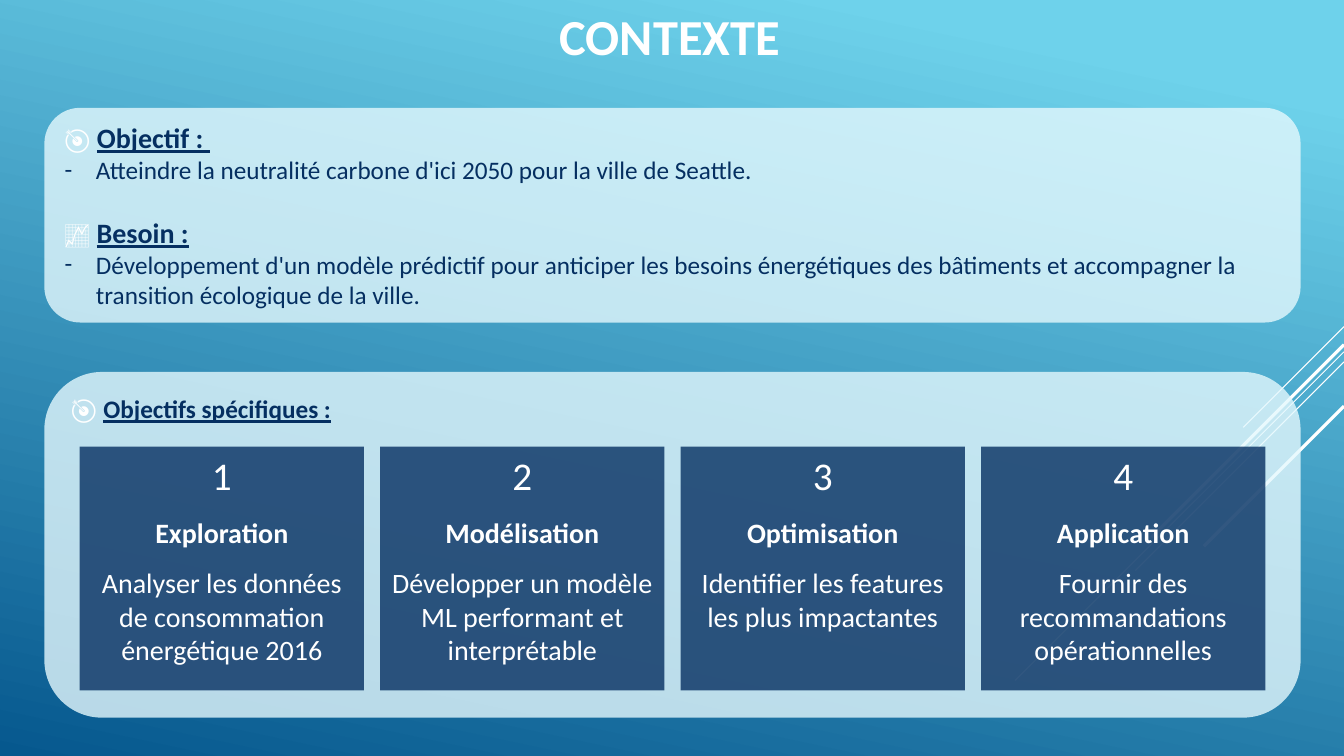
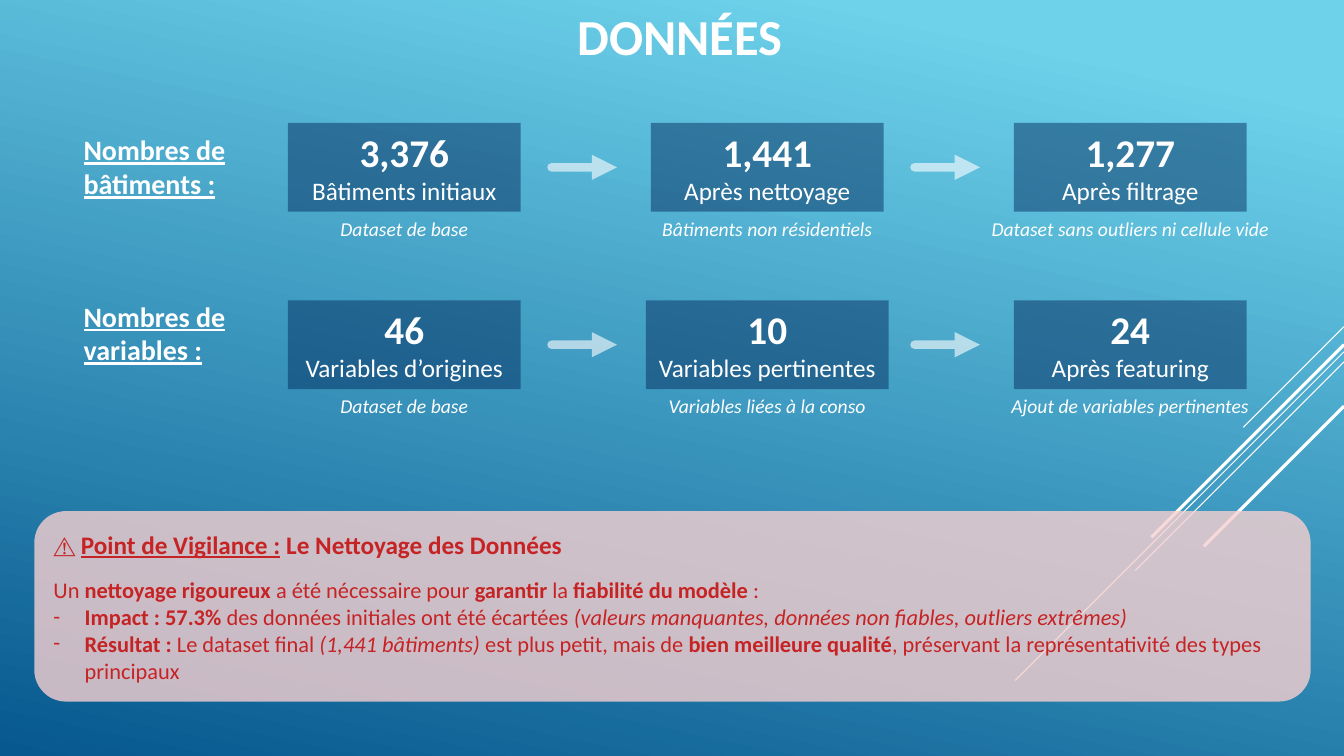
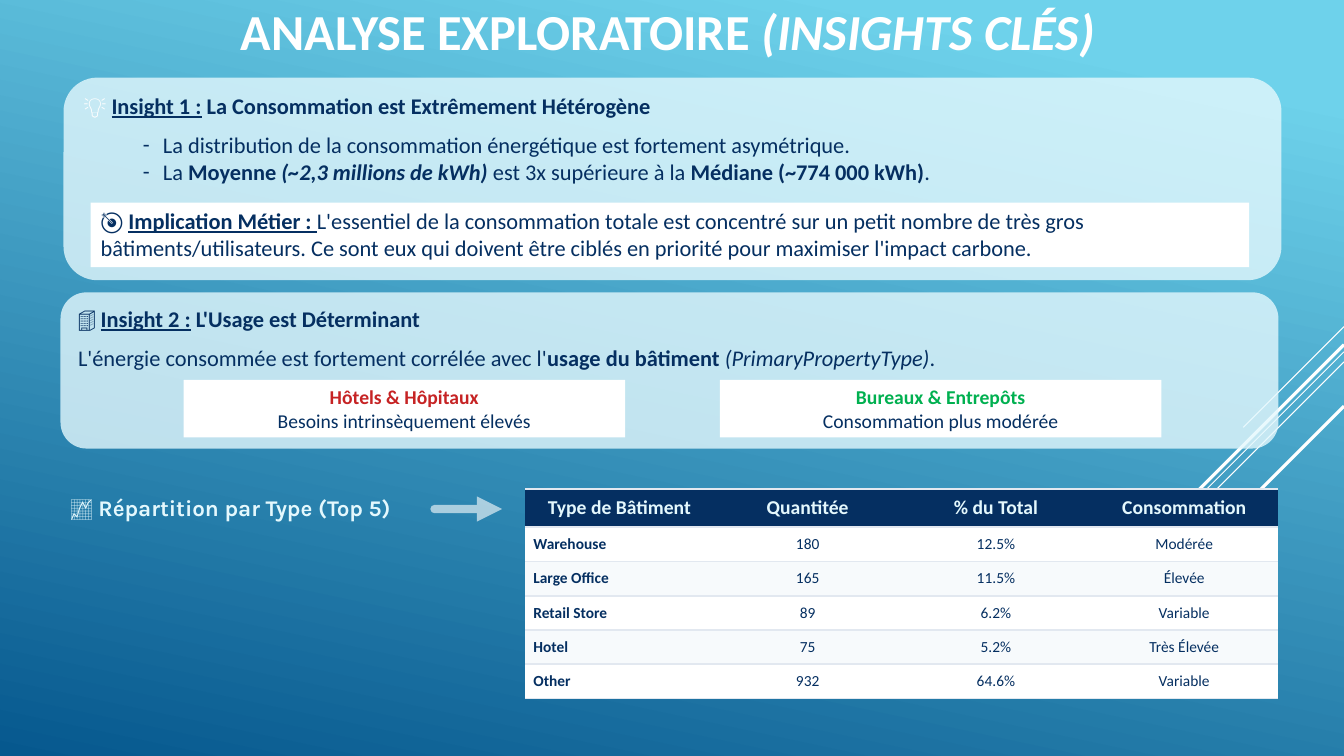
from dataclasses import dataclass

import lxml.etree
import pptx
import pptx.dml.color
import pptx.enum.dml
import pptx.enum.shapes
import pptx.enum.text
import pptx.oxml.ns
import pptx.util

Inches, Pt = pptx.util.Inches, pptx.util.Pt
qn = pptx.oxml.ns.qn
SHAPE = pptx.enum.shapes.MSO_SHAPE
ANCHOR = pptx.enum.text.MSO_ANCHOR
ALIGN = pptx.enum.text.PP_ALIGN

COLORS = {
    "sky": "6ED2EB", "deep": "06588E", "white": "FFFFFF", "navy": "052F61",
    "ice": "E4F8FD", "rose": "F7D0D0", "red": "C62324", "green": "00B050",
    "stripe": "F7FAFC", "rule": "E2E8F0",
}
FONT, ICON_FONT, LABEL_FONT = "Calibri", "League Spartan", "Karla"
# Diagonal streaks: start y on the right edge, run length, line width
STREAKS = [(3.24, 1, 0.75), (3.49, 3.26, 0.75), (3.59, 2.07, 0.75),
           (3.42, 1.91, 2.25), (4.03, 1.39, 2.25)]


@dataclass
class Run:
    text: str
    style: str = ""  # any of b, i, u
    color: str = ""
    size: float = 0
    font: str = FONT


@dataclass
class Para:
    runs: list
    size: float
    before: float = 0
    indent: tuple = ()  # left margin and hanging width of a dash bullet
    align: ALIGN = ALIGN.LEFT


def rgb(name):
    return pptx.dml.color.RGBColor.from_string(COLORS[name])


def place(shape, box):
    shape.left, shape.top, shape.width, shape.height = map(Inches, box)


def set_alpha(shape, percent):
    color = next(shape.element.spPr.iter(qn("a:srgbClr")))
    lxml.etree.SubElement(color, qn("a:alpha"), val=str(percent * 1000))


def dash_bullet(paragraph, left, hanging):
    props = paragraph._p.get_or_add_pPr()
    props.set("marL", str(Inches(left)))
    props.set("indent", str(-Inches(hanging)))
    lxml.etree.SubElement(props, qn("a:buFont"), typeface=FONT)
    lxml.etree.SubElement(props, qn("a:buChar"), char="-")


def write(shape, paras, color, anchor=ANCHOR.TOP):
    frame = shape.text_frame
    frame.word_wrap = True
    frame.auto_size = pptx.enum.text.MSO_AUTO_SIZE.NONE
    frame.vertical_anchor = anchor
    for index, para in enumerate(paras):
        paragraph = frame.paragraphs[0] if index == 0 else frame.add_paragraph()
        if para.indent:
            dash_bullet(paragraph, *para.indent)
        paragraph.alignment = para.align
        paragraph.space_before = Pt(para.before)
        for part in para.runs:
            run = paragraph.add_run()
            run.text = part.text
            run.font.name = part.font
            run.font.size = Pt(part.size or para.size)
            run.font.color.rgb = rgb(part.color or color)
            run.font.bold = "b" in part.style
            run.font.italic = "i" in part.style
            run.font.underline = "u" in part.style


def add_block(slide, box, fill, paras, color, alpha=100,
              kind=SHAPE.RECTANGLE, anchor=ANCHOR.TOP):
    block = slide.shapes.add_shape(kind, *map(Inches, box))
    block.shadow.inherit = False
    block.line.fill.background()
    block.fill.solid()
    block.fill.fore_color.rgb = rgb(fill)
    if alpha < 100:
        set_alpha(block, alpha)
    write(block, paras, color, anchor)


def add_panel(slide, box, paras, fill="ice", color="navy", anchor=ANCHOR.TOP):
    add_block(slide, box, fill, paras, color, 80, SHAPE.ROUNDED_RECTANGLE, anchor)


def add_text(slide, box, paras, color="white"):
    write(slide.shapes.add_textbox(*map(Inches, box)), paras, color)


def add_line(slide, start, end, width):
    line = slide.shapes.add_connector(
        pptx.enum.shapes.MSO_CONNECTOR.STRAIGHT, *map(Inches, start + end))
    line.line.color.rgb = rgb("white")
    line.line.width = Pt(width)
    lxml.etree.SubElement(line.element.spPr, qn("a:effectLst"))
    return line


def add_arrow(slide, left, middle, length):
    arrow = add_line(slide, (left, middle), (left + length, middle), 6)
    set_alpha(arrow, 60)
    outline = arrow.element.spPr.find(qn("a:ln"))
    outline.set("cap", "rnd")
    lxml.etree.SubElement(outline, qn("a:tailEnd"), type="triangle")


# Shared look: gradient and streaks on the master, title on each slide
def decorate_master(master, slide):
    fill = master.background.fill
    fill.gradient()
    fill.gradient_angle = 258
    for stop, position, color in zip(fill.gradient_stops, (0.1, 1), ("sky", "deep")):
        stop.position = position
        stop.color.rgb = rgb(color)
    for index, (y, run, width) in enumerate(STREAKS):
        streak = add_line(slide, (13.33, y), (13.33 - run, y + run), width)
        streak.element.nvCxnSpPr.cNvPr.set("id", str(20 + index))
        master.shapes.element.append(streak.element)


def add_slide(prs, box, title_runs):
    slide = prs.slides.add_slide(prs.slide_layouts[5])
    place(slide.shapes.title, box)
    write(slide.shapes.title, [Para(title_runs, 36)], "white")
    return slide


# Context slide
def goal_panel(slide, box):
    dash = (0.31, 0.31)
    add_panel(slide, box, [
        Para([Run("🎯 ", "b", "white", 18, ICON_FONT), Run("Objectif : ", "bu")], 20),
        Para([Run("Atteindre la neutralité carbone d'ici 2050 pour la ville de Seattle.")],
             18, indent=dash),
        Para([Run("📈 ", "b", "white", 18, ICON_FONT), Run("Besoin :", "bu")], 20, 22),
        Para([Run("Développement d'un modèle prédictif pour anticiper les besoins "
                  "énergétiques des bâtiments et accompagner la transition "
                  "écologique de la ville.")], 18, indent=dash),
    ], anchor=ANCHOR.MIDDLE)


def step_panel(slide, box, steps):
    left, top, width, _ = box
    add_panel(slide, box, [Para([
        Run("🎯 ", "b", "white", font=ICON_FONT),
        Run("Objectifs spécifiques :", "bu")], 18)])
    margin, card = 0.35, 2.82
    pitch = (width - 2 * margin - card) / (len(steps) - 1)
    for index, (name, detail) in enumerate(steps):
        add_block(slide, (left + margin + index * pitch, top + 0.74, card, 2.42), "navy", [
            Para([Run(str(index + 1))], 28, align=ALIGN.CENTER),
            Para([Run(name, "b")], 20, 12, align=ALIGN.CENTER),
            Para([Run(detail)], 20, 12, align=ALIGN.CENTER),
        ], "white", 80)


# Data slide
def process_row(slide, left, top, label, label_shift, stages):
    add_text(slide, (left, top + label_shift, 1.71, 0.77), [Para([Run(label, "bu")], 20)])
    height, pitch, caption_width = 0.88, 3.6, 3.2
    for index, (count, name, caption, width) in enumerate(stages):
        center = left + 3.28 + index * pitch
        add_block(slide, (center - width / 2, top, width, height), "navy", [
            Para([Run(count, "b")], 28, align=ALIGN.CENTER),
            Para([Run(name)], 18, align=ALIGN.CENTER)], "white", 50)
        add_text(slide, (center - caption_width / 2, top + height, caption_width, 0.34),
                 [Para([Run(caption, "i")], 14, align=ALIGN.CENTER)])
        if index < len(stages) - 1:
            add_arrow(slide, center + 1.46, top + height / 2, 0.65)


def warning_panel(slide, box):
    dash = (0.31, 0.31)
    add_panel(slide, box, [
        Para([Run("⚠️ ", "b", size=16), Run("Point de Vigilance :", "bu"),
              Run(" Le Nettoyage des Données", "b")], 18),
        Para([Run("Un "), Run("nettoyage rigoureux ", "b"), Run("a été nécessaire pour "),
              Run("garantir", "b"), Run(" la "), Run("fiabilité du modèle ", "b"),
              Run(":")], 16, 12),
        Para([Run("Impact : 57.3%", "b"), Run(" des données initiales ont été écartées "),
              Run("(valeurs manquantes, données non fiables, outliers extrêmes)", "i")],
             16, indent=dash),
        Para([Run("Résultat :", "b"), Run(" Le dataset final "),
              Run("(1,441 bâtiments) ", "i"), Run("est plus petit, mais de "),
              Run("bien meilleure qualité", "b"),
              Run(", préservant la représentativité des types principaux")],
             16, indent=dash),
    ], "rose", "red", ANCHOR.MIDDLE)


# Analysis slide
def consumption_panel(slide, box):
    left, top, width, _ = box
    dash = (0.79, 0.2)
    add_panel(slide, box, [
        Para([Run("💡 ", "b", "white"), Run("Insight 1 :", "bu"),
              Run(" La Consommation est Extrêmement Hétérogène", "b")], 16),
        Para([Run("La distribution de la consommation énergétique est fortement "
                  "asymétrique.")], 16, 8.5, dash),
        Para([Run("La "), Run("Moyenne ", "b"), Run("(~2,3 millions de kWh) ", "bi"),
              Run("est 3x supérieure à la "), Run("Médiane (~774 000 kWh)", "b"),
              Run(".")], 16, indent=dash),
    ])
    add_block(slide, (left + 0.27, top + 1.24, width - 0.59, 0.64), "white", [Para([
        Run("🎯 "), Run("Implication Métier : ", "bu"),
        Run("L'essentiel de la consommation totale est concentré sur un petit nombre de "
            "très gros bâtiments/utilisateurs. Ce sont eux qui doivent être ciblés en "
            "priorité pour maximiser l'impact carbone.")], 16)], "navy")


def usage_panel(slide, box, usages):
    left, top, _, _ = box
    add_panel(slide, box, [
        Para([Run("🏢 ", "b"), Run("Insight 2 :", "bu"),
              Run(" L'Usage est Déterminant", "b")], 16),
        Para([Run("L'énergie consommée est fortement corrélée avec l'"),
              Run("usage du bâtiment ", "b"), Run("(PrimaryPropertyType)", "i"),
              Run(".")], 16, 8.5),
    ])
    for index, (usage, color, need) in enumerate(usages):
        add_block(slide, (left + 1.22 + index * 5.32, top + 0.87, 4.38, 0.57), "white", [
            Para([Run(usage, "b", color)], 14, align=ALIGN.CENTER),
            Para([Run(need)], 14, align=ALIGN.CENTER)], "navy")


def rule_cell(cell):
    props = cell._tc.get_or_add_tcPr()
    for index, side in enumerate("LRTB"):
        border = lxml.etree.Element(qn(f"a:ln{side}"), w=str(Pt(1.5)))
        if side in "LR":
            lxml.etree.SubElement(border, qn("a:noFill"))
        else:
            paint = lxml.etree.SubElement(border, qn("a:solidFill"))
            lxml.etree.SubElement(paint, qn("a:srgbClr"), val=COLORS["rule"])
        props.insert(index, border)


def type_table(slide, box, rows):
    table = slide.shapes.add_table(len(rows), len(rows[0]), *map(Inches, box)).table
    table.horz_banding = False
    for r, row in enumerate(rows):
        table.rows[r].height = Inches(0.34 if r else 0.38)
        for c, value in enumerate(row):
            cell = table.cell(r, c)
            cell.text = value
            cell.vertical_anchor = ANCHOR.MIDDLE
            cell.margin_left = cell.margin_right = Inches(0.08)
            cell.margin_top = cell.margin_bottom = Inches(0.07)
            cell.fill.solid()
            cell.fill.fore_color.rgb = rgb(("stripe", "white")[r % 2] if r else "navy")
            rule_cell(cell)
            paragraph = cell.text_frame.paragraphs[0]
            paragraph.alignment = ALIGN.LEFT if r and c == 0 else ALIGN.CENTER
            font = paragraph.runs[0].font
            font.name = FONT
            font.size = Pt(11 if r else 14)
            font.bold = r == 0 or c == 0
            font.color.rgb = rgb("navy" if r else "ice")


def main():
    prs = pptx.Presentation()
    prs.slide_width, prs.slide_height = Inches(13.33), Inches(7.5)

    context = add_slide(prs, (5.45, 0, 2.44, 0.71), [Run("CONTEXTE", "b")])
    decorate_master(prs.slide_master, context)
    step_panel(context, (0.44, 3.69, 12.46, 3.43), [
        ("Exploration", "Analyser les données de consommation énergétique 2016"),
        ("Modélisation", "Développer un modèle ML performant et interprétable"),
        ("Optimisation", "Identifier les features les plus impactantes"),
        ("Application", "Fournir des recommandations opérationnelles"),
    ])
    goal_panel(context, (0.44, 1.07, 12.46, 2.13))

    data = add_slide(prs, (5.63, 0, 2.48, 0.71), [Run("DONNÉES", "b")])
    process_row(data, 0.73, 1.22, "Nombres de bâtiments :", 0.05, [
        ("3,376", "Bâtiments initiaux", "Dataset de base", 2.31),
        ("1,441", "Après nettoyage", "Bâtiments non résidentiels", 2.31),
        ("1,277", "Après filtrage", "Dataset sans outliers ni cellule vide", 2.31),
    ])
    process_row(data, 0.73, 2.98, "Nombres de variables :", -0.06, [
        ("46", "Variables d’origines", "Dataset de base", 2.31),
        ("10", "Variables pertinentes", "Variables liées à la conso", 2.41),
        ("24", "Après featuring", "Ajout de variables pertinentes", 2.31),
    ])
    warning_panel(data, (0.34, 5.07, 12.66, 1.89))

    analysis = add_slide(prs, (2.29, -0.05, 8.76, 0.71), [
        Run("ANALYSE EXPLORATOIRE ", "b"), Run("(INSIGHTS CLÉS)", "bi")])
    consumption_panel(analysis, (0.63, 0.77, 12.08, 2.01))
    usage_panel(analysis, (0.6, 2.9, 12.08, 1.55), [
        ("Hôtels & Hôpitaux", "red", "Besoins intrinsèquement élevés"),
        ("Bureaux & Entrepôts", "green", "Consommation plus modérée"),
    ])
    type_table(analysis, (5.21, 4.85, 7.47, 2.09), [
        ("Type de Bâtiment", "Quantitée", "% du Total", "Consommation"),
        ("Warehouse", "180", "12.5%", "Modérée"),
        ("Large Office", "165", "11.5%", "Élevée"),
        ("Retail Store", "89", "6.2%", "Variable"),
        ("Hotel", "75", "5.2%", "Très Élevée"),
        ("Other", "932", "64.6%", "Variable"),
    ])
    add_text(analysis, (0.6, 4.85, 3.65, 0.37), [Para([
        Run("📈 Répartition par Type (Top 5)", "b", font=LABEL_FONT)], 16)], "ice")
    add_arrow(analysis, 4.31, 5.05, 0.67)

    prs.save("out.pptx")


if __name__ == "__main__":
    main()
